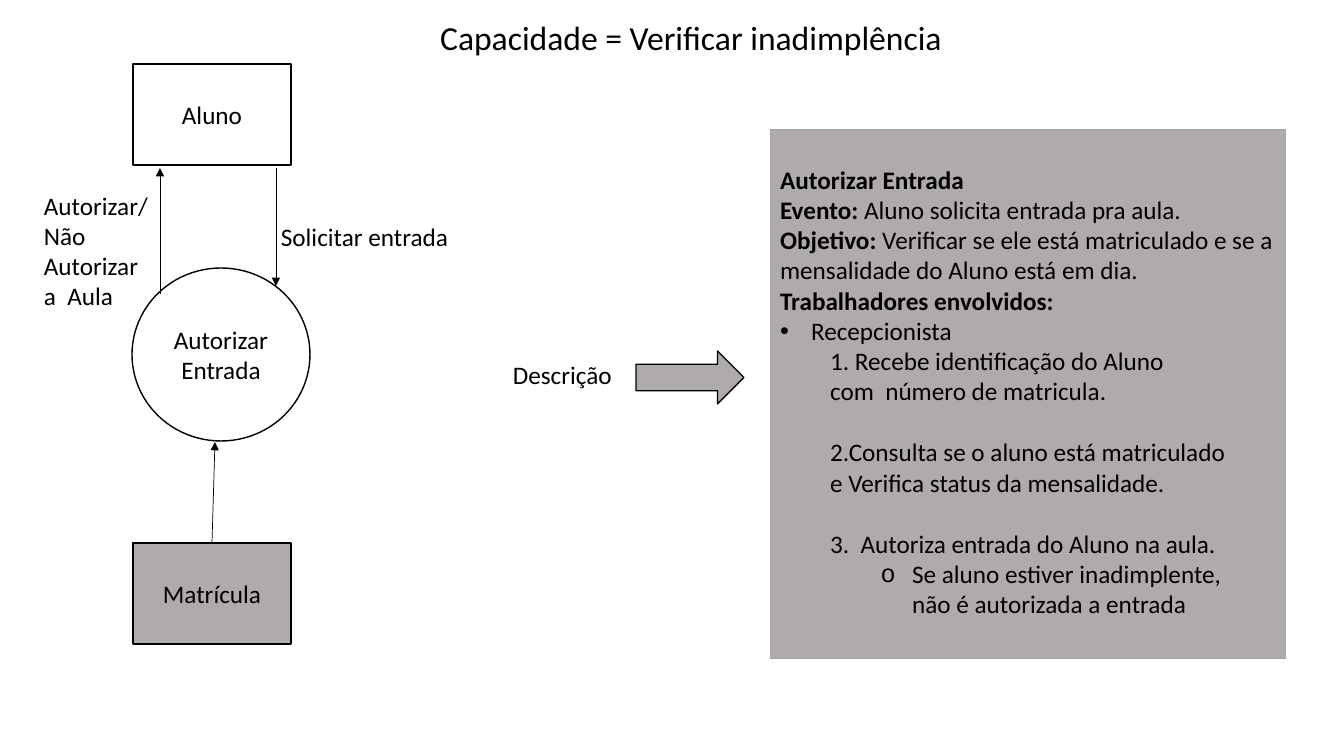
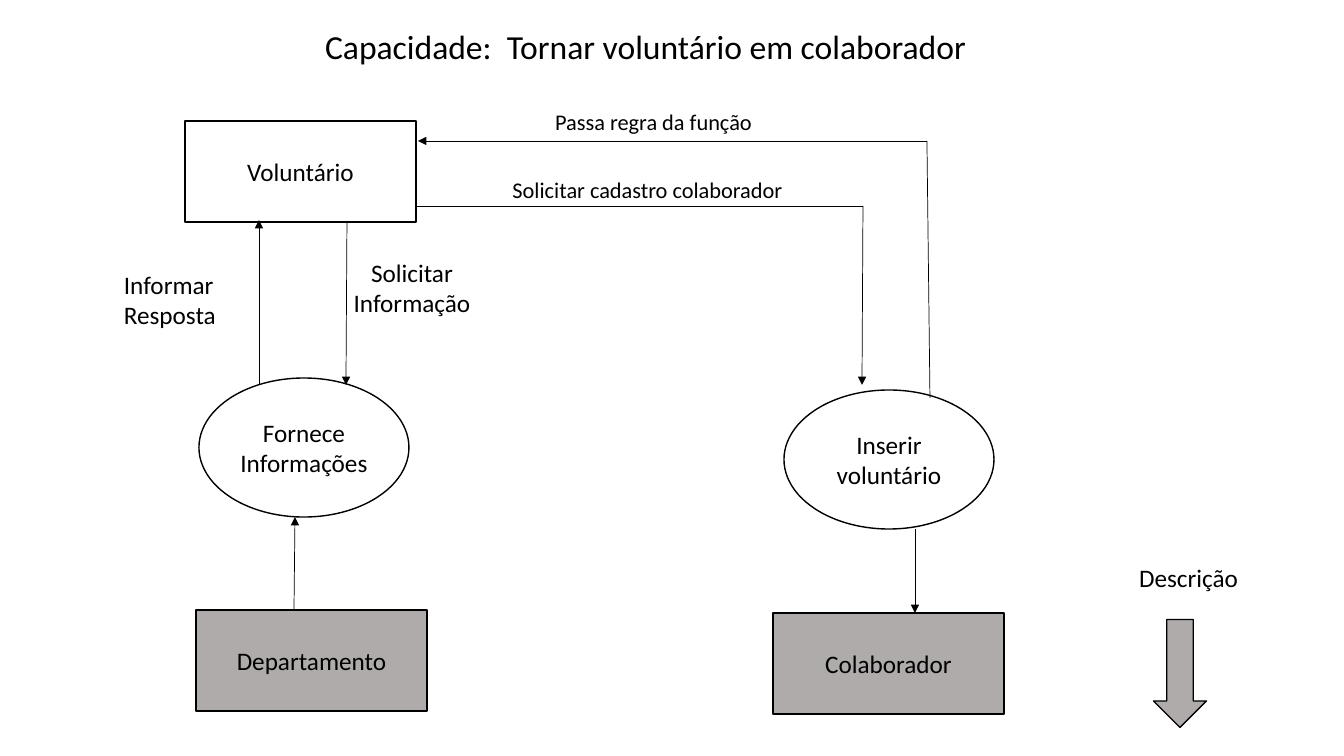
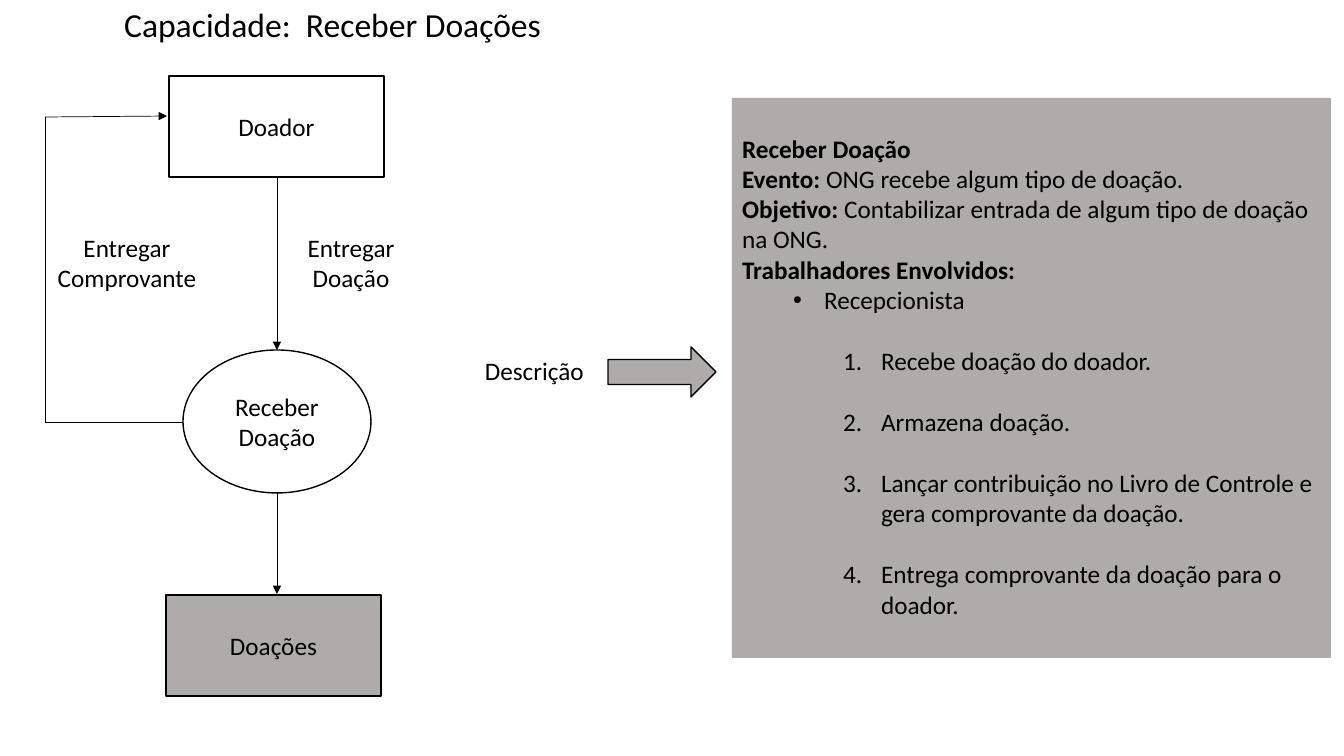
from dataclasses import dataclass

from lxml.etree import SubElement
from pptx import Presentation
from pptx.dml.color import RGBColor
from pptx.enum.shapes import MSO_CONNECTOR as Connector, MSO_SHAPE as Preset
from pptx.enum.text import MSO_ANCHOR as Anchor, MSO_AUTO_SIZE as AutoSize, PP_ALIGN as Align
from pptx.oxml.ns import qn
from pptx.util import Emu, Pt

# Shared style
FONT = "Calibri"
BLACK, WHITE, GREY, EDGE = "000000", "FFFFFF", "AFABAB", "A5A5A5"
TITLE_SIZE, TEXT_SIZE, SMALL_SIZE = 24, 18, 16
LINE_HEIGHT = 22  # points taken by one line of body text
TITLE_ONLY, TITLE_AND_BODY = 5, 1
NODE_HEIGHT = 101


def px(length):
    return Emu(round(length * 914400 / 100.8))


def colour(value):
    return RGBColor.from_string(value)


def add_run(paragraph, text, size=TEXT_SIZE, bold=False):
    run = paragraph.add_run()
    run.text = text
    run.font.name = FONT
    run.font.size = Pt(size)
    run.font.bold = bold
    run.font.color.rgb = colour(BLACK)


def write_lines(frame, lines, size=TEXT_SIZE, align=Align.CENTER):
    frame.word_wrap = True
    for index, line in enumerate(lines):
        paragraph = frame.paragraphs[0] if index == 0 else frame.add_paragraph()
        paragraph.alignment = align
        add_run(paragraph, line, size)


def paint(shape, fill, line=BLACK, width=1):
    shape.fill.solid()
    shape.fill.fore_color.rgb = colour(fill)
    shape.line.color.rgb = colour(line)
    shape.line.width = Pt(width)


def place(shape, box):
    shape.left, shape.top, shape.width, shape.height = map(px, box)


# Diagram parts, placed from the top left corner of their region
@dataclass
class Region:
    slide: object
    left: int
    top: int

    def box(self, left, top, width, height):
        return [px(n) for n in (self.left + left, self.top + top, width, height)]

    def shape(self, preset, box, fill, lines=()):
        shape = self.slide.shapes.add_shape(preset, *self.box(*box))
        shape.shadow.inherit = False
        paint(shape, fill)
        if lines:
            shape.text_frame.vertical_anchor = Anchor.MIDDLE
            write_lines(shape.text_frame, lines)
        return shape

    def entity(self, left, top, width, name):
        self.shape(Preset.RECTANGLE, (left, top, width, NODE_HEIGHT), WHITE, [name])

    def store(self, left, top, width, name):
        self.shape(Preset.RECTANGLE, (left, top, width, NODE_HEIGHT), GREY, [name])

    def process(self, box, *lines):
        self.shape(Preset.OVAL, box, WHITE, lines)

    def label(self, box, *lines, size=TEXT_SIZE, align=Align.CENTER):
        text_box = self.slide.shapes.add_textbox(*self.box(*box))
        write_lines(text_box.text_frame, lines, size, align)

    def flow(self, *points):
        """Joins the points with lines; the last one ends in an arrowhead."""
        for start, end in zip(points, points[1:]):
            ends = [px(n) for x, y in (start, end) for n in (self.left + x, self.top + y)]
            connector = self.slide.shapes.add_connector(Connector.STRAIGHT, *ends)
            connector.line.color.rgb = colour(BLACK)
            connector.line.width = Pt(0.5)
            if end is points[-1]:
                SubElement(connector.line._get_or_add_ln(), qn("a:tailEnd"), type="triangle")
            SubElement(connector._element.spPr, qn("a:effectLst"))


def add_slide(presentation, layout, title, box, align=Align.CENTER):
    slide = presentation.slides.add_slide(presentation.slide_layouts[layout])
    place(slide.shapes.title, box)
    frame = slide.shapes.title.text_frame
    frame.auto_size = AutoSize.NONE
    frame.vertical_anchor = Anchor.TOP
    write_lines(frame, [title], TITLE_SIZE, align)
    return slide


def add_description_pointer(slide, left, top, arrow_height):
    region = Region(slide, left, top)
    region.label((0, 0, 132, 40), "Descrição", align=Align.LEFT)
    region.shape(Preset.RIGHT_ARROW, (133, -3, 108, arrow_height), GREY)


# Description panel
@dataclass
class Item:
    text: str
    heading: str = ""
    level: int = 0
    left: int = 0
    hanging: int = 0
    bullet: str = ""
    numbered: bool = False
    gap: int = 0  # empty lines above


def add_item(paragraph, item):
    paragraph.level = item.level
    paragraph.alignment = Align.LEFT
    paragraph.space_before = Pt(item.gap * LINE_HEIGHT)
    properties = paragraph._p.get_or_add_pPr()
    properties.set("marL", str(px(item.left)))
    properties.set("indent", str(-px(item.hanging)))
    if item.numbered:
        SubElement(properties, qn("a:buAutoNum"), type="arabicPeriod")
    elif item.bullet:
        SubElement(properties, qn("a:buChar"), char=item.bullet)
    else:
        SubElement(properties, qn("a:buNone"))
    if item.heading:
        add_run(paragraph, item.heading, bold=True)
    if item.text:
        add_run(paragraph, item.text)


def add_panel(slide, box, edge, items):
    panel = slide.placeholders[1]
    place(panel, box)
    paint(panel, GREY, edge, 0.5)
    frame = panel.text_frame
    frame.auto_size = AutoSize.NONE
    frame.word_wrap = True
    frame.vertical_anchor = Anchor.TOP
    frame.margin_top = px(35)
    for index, item in enumerate(items):
        add_item(frame.paragraphs[0] if index == 0 else frame.add_paragraph(), item)


# Slide 1: overdue fees
def build_entry_slide(presentation):
    slide = add_slide(presentation, TITLE_AND_BODY, "Capacidade = Verificar inadimplência",
                      (327, 12, 728, 50))
    diagram = Region(slide, 133, 64)
    diagram.entity(0, 0, 158, "Aluno")
    diagram.store(0, 479, 158, "Matrícula")
    diagram.process((-1, 204, 178, 173), "Autorizar", "Entrada")
    diagram.flow((143, 104), (143, 222))
    diagram.flow((27, 230), (27, 104))
    diagram.flow((79, 479), (82, 378))
    diagram.label((138, 152, 302, 40), "Solicitar entrada", align=Align.LEFT)
    diagram.label((-99, 121, 131, 132), "Autorizar/ Não Autorizar a  Aula", align=Align.LEFT)

    add_description_pointer(slide, 503, 354, 53)
    add_panel(slide, (770, 129, 515, 529), EDGE, [
        Item("", "Autorizar Entrada"),
        Item("Aluno solicita entrada pra aula.", "Evento: "),
        Item("Verificar se ele está matriculado e se a mensalidade do Aluno está em dia.",
             "Objetivo: "),
        Item("", "Trabalhadores envolvidos:"),
        Item("Recepcionista", left=31, hanging=31, bullet="•"),
        Item("1. Recebe identificação do Aluno com\u00a0\u00a0número de matricula.",
             level=1, left=50),
        Item("2.Consulta se o aluno está matriculado e\u00a0Verifica status da mensalidade.",
             level=1, left=50, gap=1),
        Item("3.\u00a0\u00a0Autoriza entrada do Aluno na aula.", level=1, left=50, gap=1),
        Item("Se aluno estiver inadimplente, não\u00a0é autorizada a entrada",
             level=2, left=132, hanging=31, bullet="o"),
    ])


# Slide 2: from volunteer to staff
def build_volunteer_slide(presentation):
    slide = add_slide(presentation, TITLE_ONLY,
                      "Capacidade:\u00a0 Tornar voluntário em colaborador",
                      (261, 21, 769, 50))
    information = Region(slide, 185, 121)
    information.entity(0, 0, 231, "Voluntário")
    information.process((14, 257, 210, 139), "Fornece Informações")
    information.store(11, 489, 231, "Departamento")
    information.flow((162, 101), (161, 264))
    information.flow((74, 264), (74, 99))
    information.flow((109, 489), (110, 396))
    information.label((-71, 143, 150, 72), "Informar Resposta", align=Align.LEFT)
    information.label((152, 131, 150, 72), "Solicitar", "Informação")

    registration = Region(slide, 773, 390)
    registration.process((11, 0, 210, 139), "Inserir", "voluntário")
    registration.store(0, 223, 231, "Colaborador")
    registration.flow((142, 139), (142, 223))
    registration.flow((-357, -184), (90, -184), (89, -5))
    registration.flow((157, 8), (154, -249), (-355, -249))
    registration.label((-292, -219, 333, 37), "Solicitar cadastro colaborador", size=SMALL_SIZE)
    registration.label((-286, -287, 333, 37), "Passa regra da função", size=SMALL_SIZE)

    pointer = Region(slide, 1118, 557)
    pointer.label((0, 0, 141, 40), "Descrição")
    pointer.shape(Preset.RIGHT_ARROW, (8, 90, 108, 53), GREY).rotation = 90


# Slide 3: donations
def build_donation_slide(presentation):
    slide = add_slide(presentation, TITLE_AND_BODY, "Capacidade:\u00a0 Receber Doações",
                      (114, -1, 547, 50), Align.LEFT)
    diagram = Region(slide, 169, 76)
    diagram.entity(0, 0, 215, "Doador")
    diagram.process((14, 274, 188, 143), "Receber", "Doação")
    diagram.store(-3, 519, 215, "Doações")
    diagram.flow((108, 101), (108, 274))
    diagram.flow((108, 417), (108, 518))
    diagram.flow((14, 346), (-124, 346), (-124, 41), (-2, 40))
    diagram.label((115, 151, 134, 72), "Entregar Doação")
    diagram.label((-132, 151, 180, 72), "Entregar Comprovante")

    add_description_pointer(slide, 475, 350, 50)
    step = dict(level=2, left=139, hanging=38, numbered=True, gap=1)
    add_panel(slide, (732, 98, 598, 559), GREY, [
        Item("", "Receber Doação"),
        Item("ONG recebe algum tipo de doação.", "Evento: "),
        Item("Contabilizar entrada de algum tipo de doação na ONG.", "Objetivo: "),
        Item("", "Trabalhadores Envolvidos:"),
        Item("Recepcionista", level=1, left=82, hanging=31, bullet="•"),
        Item("Recebe doação do doador.", **step),
        Item("Armazena doação.", **step),
        Item("Lançar contribuição no Livro de Controle e gera comprovante da doação.", **step),
        Item("Entrega comprovante da doação para o doador.", **step),
    ])


presentation = Presentation()
presentation.slide_width, presentation.slide_height = px(1344), px(756)
build_entry_slide(presentation)
build_volunteer_slide(presentation)
build_donation_slide(presentation)
presentation.save("out.pptx")
